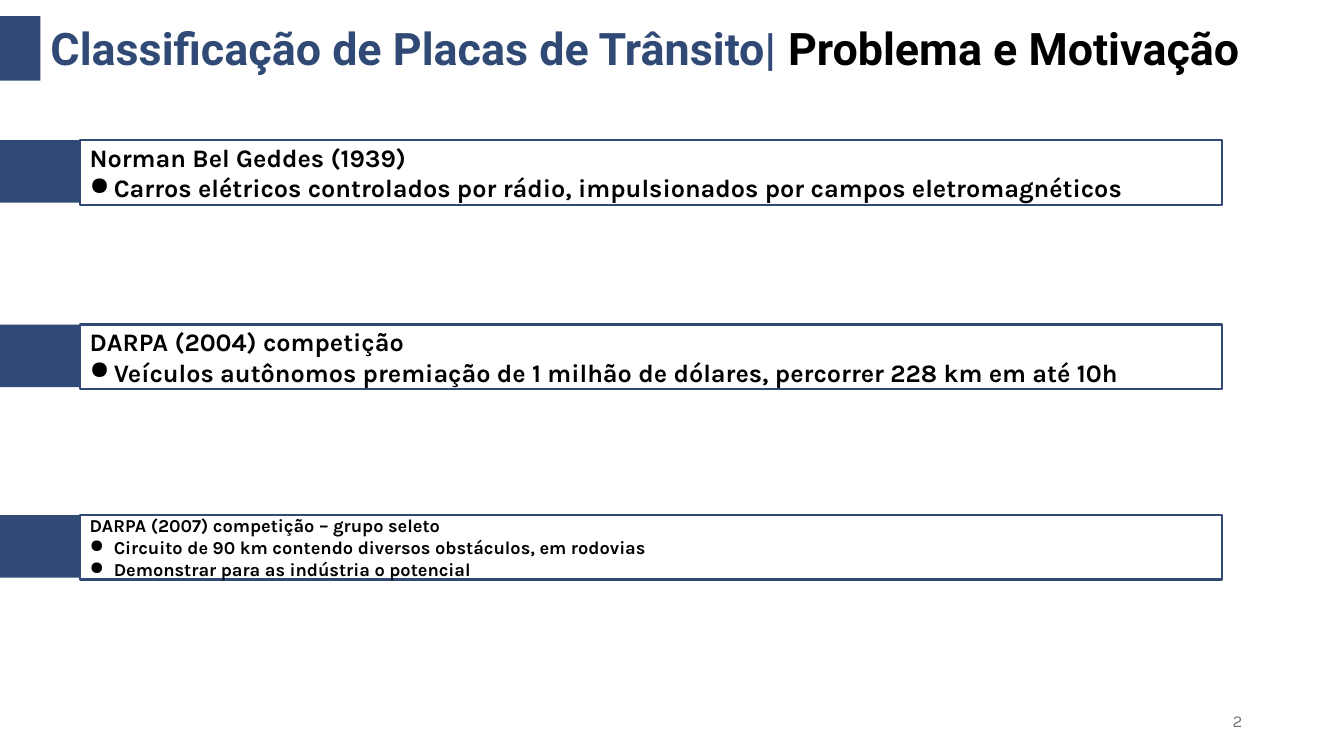
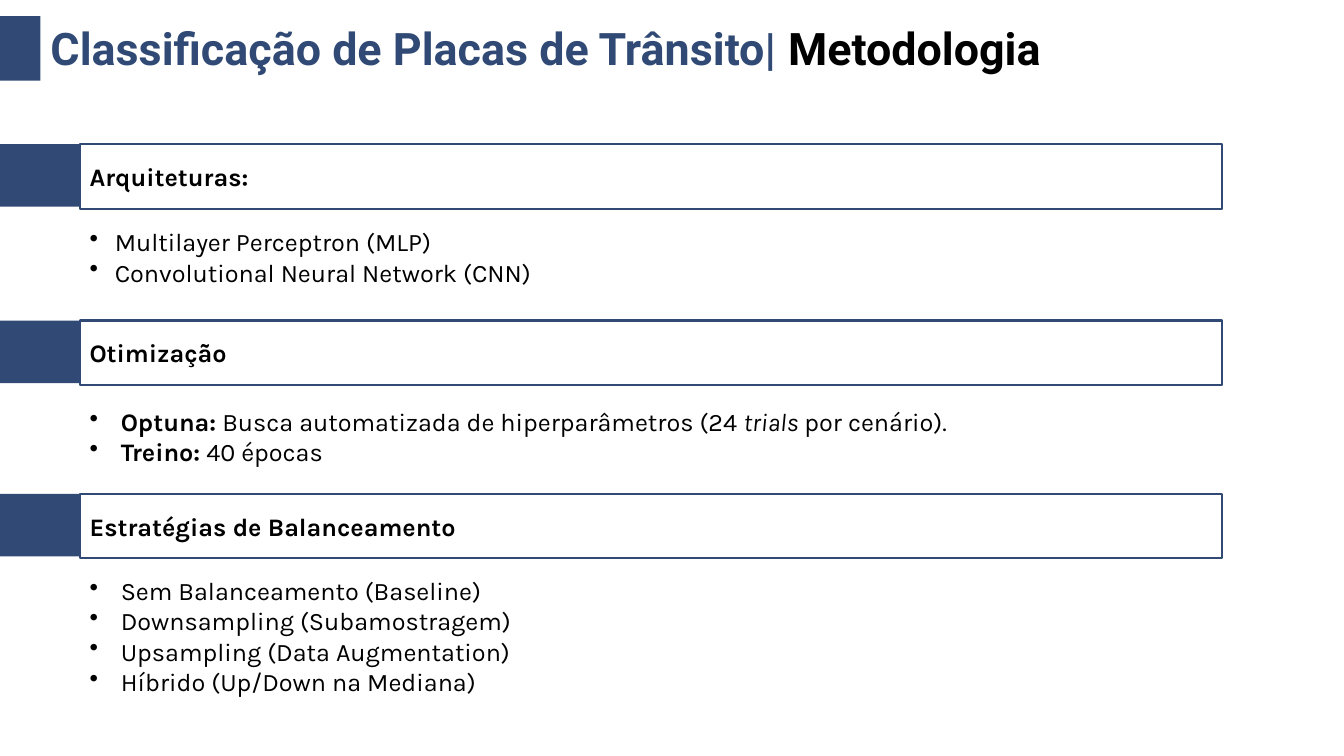
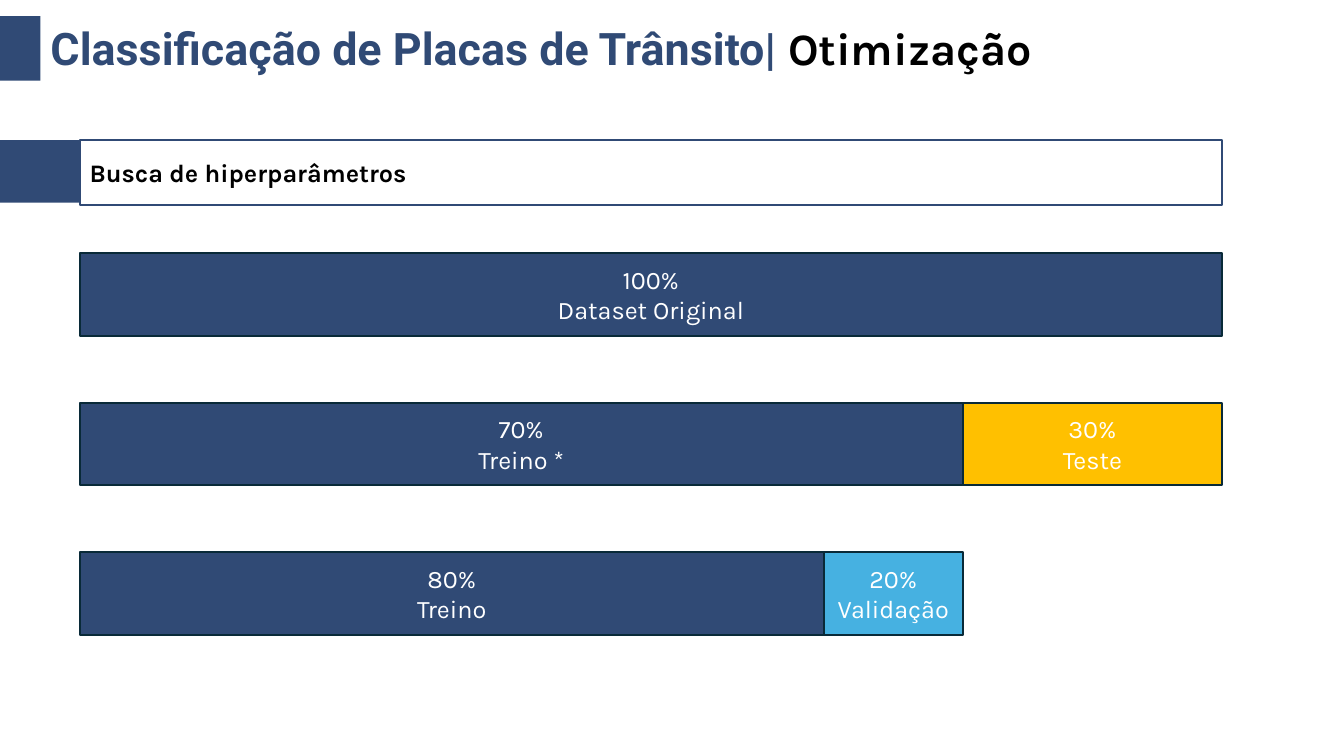
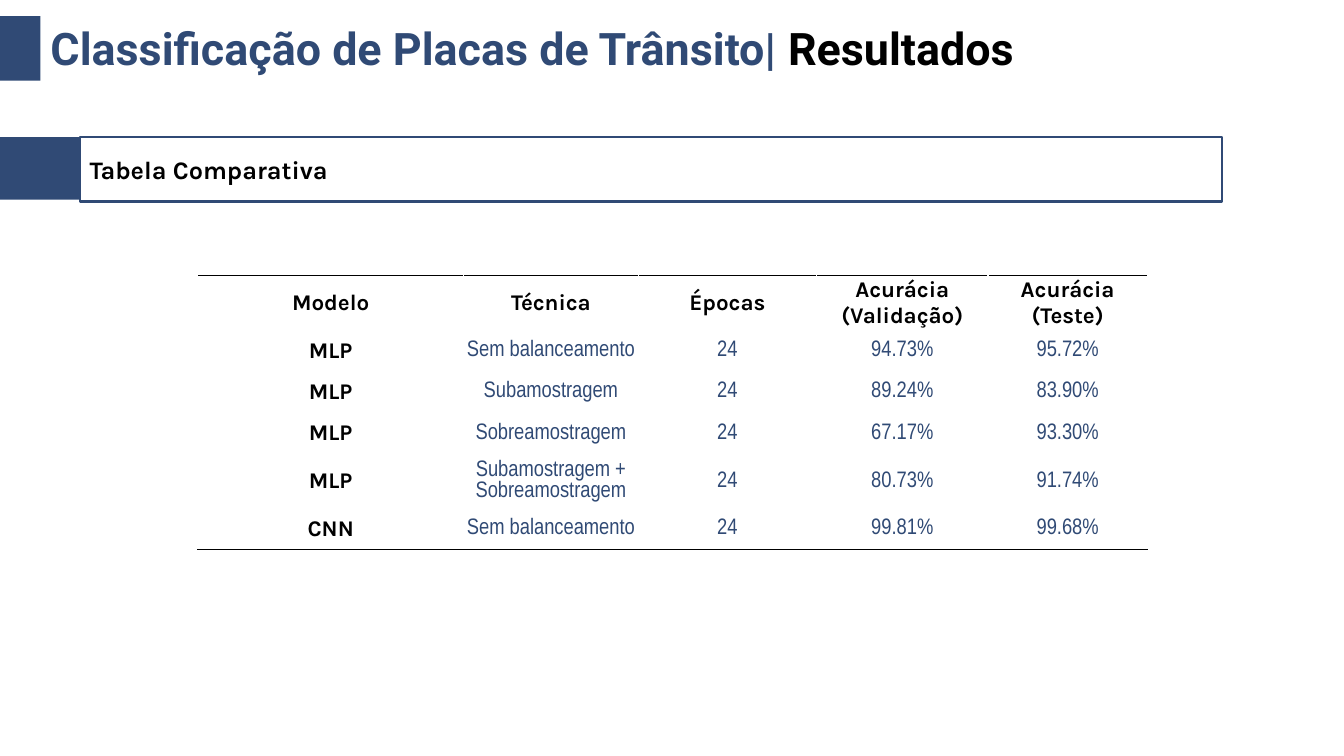
import pptx
import pptx.util
import pptx.dml.color
import pptx.enum.shapes
import pptx.enum.text
import pptx.oxml
import pptx.oxml.ns

Inches, Pt = pptx.util.Inches, pptx.util.Pt
ALIGN, ANCHOR = pptx.enum.text.PP_ALIGN, pptx.enum.text.MSO_ANCHOR
RECT = pptx.enum.shapes.MSO_SHAPE.RECTANGLE

# Shared style
COLORS = {"navy": "304A75", "black": "000000", "white": "FFFFFF", "gray": "797979",
          "amber": "FFC000", "sky": "46B1E1", "edge": "092A38"}
BODY = {"name": "Karla", "size": 18, "color": "black", "bold": False}
STRONG = {**BODY, "bold": True}
SMALL = {**STRONG, "size": 13}
LIGHT = {**BODY, "color": "white"}
HEADING = {"name": "Roboto", "size": 32, "color": "navy", "bold": True}
TABLE_HEAD = {**STRONG, "size": 16}
TABLE_BODY = {"name": "Arial Narrow", "size": 16, "color": "navy", "bold": False}
PAGE_NUMBER = {**BODY, "size": 12, "color": "gray"}

LEFT, WIDTH = 0.79, 11.33
BAND_H, TAB_W, TAB_H = 0.64, 0.8, 0.62
BAR_H = 0.82
SUBJECT = "Classificação de Placas de Trânsito| "

# Content: (top, format, heading, bullets)
HISTORY = [
    (1.39, STRONG, "Norman Bel Geddes (1939)",
     ["Carros elétricos controlados por rádio, impulsionados por campos eletromagnéticos"]),
    (3.22, STRONG, "DARPA (2004) competição",
     ["Veículos autônomos premiação de 1 milhão de dólares, percorrer 228 km em até 10h"]),
    (5.11, SMALL, "DARPA (2007) competição – grupo seleto",
     ["Circuito de 90 km contendo diversos obstáculos, em rodovias",
      "Demonstrar para as indústria o potencial"]),
]

# Content: (band top, heading, list top, indent, bullets)
METHOD = [
    (1.43, "Arquiteturas:", 2.2, 0.25,
     ["Multilayer Perceptron (MLP)", "Convolutional Neural Network (CNN)"]),
    (3.18, "Otimização", 3.98, 0.31,
     [[("Optuna:", {"bold": True}),
       (" Busca automatizada de hiperparâmetros (24 ", {}),
       ("trials", {"italic": True}),
       (" por cenário).", {})],
      [("Treino:", {"bold": True}), (" 40 épocas", {})]]),
    (4.9, "Estratégias de Balanceamento", 5.66, 0.31,
     ["Sem Balanceamento (Baseline)", "Downsampling (Subamostragem)",
      "Upsampling (Data Augmentation)", "Híbrido (Up/Down na Mediana)"]),
]

# Content: bars of (share, label, width, fill), one row per split
BAR_TOP, BAR_STEP = 2.51, 1.485
SPLITS = [
    [("100%", "Dataset Original", WIDTH, "navy")],
    [("70%", "Treino *", 8.76, "navy"), ("30%", "Teste", 2.57, "amber")],
    [("80%", "Treino", 7.38, "navy"), ("20%", "Validação", 1.38, "sky")],
]

RESULTS = [
    ("Modelo", "Técnica", "Épocas", "Acurácia\n(Validação)", "Acurácia\n(Teste)"),
    ("MLP", "Sem balanceamento", "24", "94.73%", "95.72%"),
    ("MLP", "Subamostragem", "24", "89.24%", "83.90%"),
    ("MLP", "Sobreamostragem", "24", "67.17%", "93.30%"),
    ("MLP", "Subamostragem + Sobreamostragem", "24", "80.73%", "91.74%"),
    ("CNN", "Sem balanceamento", "24", "99.81%", "99.68%"),
]
COL_WIDTHS = [2.64, 1.73, 1.77, 1.7, 1.58]
ROW_HEIGHTS = [0.54, 0.41, 0.41, 0.41, 0.54, 0.41]


def rgb(name):
    return pptx.dml.color.RGBColor.from_string(COLORS[name])


def format_font(font, fmt):
    for key, value in fmt.items():
        if key == "color":
            font.color.rgb = rgb(value)
        else:
            setattr(font, key, Pt(value) if key == "size" else value)


def add_bullet(p, char, indent):
    pPr = p._p.get_or_add_pPr()
    pPr.set("marL", str(Inches(indent)))
    pPr.set("indent", str(-Inches(indent)))
    ns = pptx.oxml.ns.nsdecls("a")
    for xml in (f'<a:buClr {ns}><a:srgbClr val="{COLORS["black"]}"/></a:buClr>',
                f'<a:buChar {ns} char="{char}"/>'):
        pPr.append(pptx.oxml.parse_xml(xml))


def write(tf, lines, fmt, align=ALIGN.LEFT, anchor=ANCHOR.TOP, bullet=None, first_bullet=0):
    """Each line is a string or a list of (text, overrides) runs."""
    tf.word_wrap = True
    tf.vertical_anchor = anchor
    for i, line in enumerate(lines):
        p = tf.paragraphs[0] if i == 0 else tf.add_paragraph()
        p.alignment = align
        if bullet and i >= first_bullet:
            add_bullet(p, *bullet)
        for text, extra in [(line, {})] if isinstance(line, str) else line:
            for n, part in enumerate(text.split("\n")):
                if n:
                    p.add_line_break()
                r = p.add_run()
                r.text = part
                format_font(r.font, {**fmt, **extra})


def add_rect(s, x, y, w, h, fill, line=None):
    sp = s.shapes.add_shape(RECT, Inches(x), Inches(y), Inches(w), Inches(h))
    sp.shadow.inherit = False
    sp.fill.solid()
    sp.fill.fore_color.rgb = rgb(fill)
    if line:
        sp.line.color.rgb = rgb(line)
        sp.line.width = Pt(1.5)
    else:
        sp.line.fill.background()
    return sp


def add_text(s, x, y, w, h, lines, fmt, **options):
    sp = s.shapes.add_textbox(Inches(x), Inches(y), Inches(w), Inches(h))
    write(sp.text_frame, lines, fmt, **options)


def add_band(s, top, lines, fmt=STRONG, **options):
    add_rect(s, 0, top, TAB_W, TAB_H, "navy")
    sp = add_rect(s, LEFT, top, WIDTH, BAND_H, "white", "navy")
    write(sp.text_frame, lines, fmt, anchor=ANCHOR.MIDDLE, **options)


def new_slide(prs, topic, topic_font="Roboto"):
    s = prs.slides.add_slide(prs.slide_layouts[5])
    title = s.shapes.title
    title.left, title.top, title.width, title.height = map(Inches, (0.4, 0.16, 12.72, 0.64))
    title.text_frame.auto_size = pptx.enum.text.MSO_AUTO_SIZE.NONE
    runs = [(SUBJECT, {}), (topic, {"name": topic_font, "color": "black"})]
    write(title.text_frame, [runs], HEADING)
    add_rect(s, 0, 0.16, 0.4, 0.64, "navy")
    return s


def add_border(cell, side):
    cell._tc.get_or_add_tcPr().insert(0, pptx.oxml.parse_xml(
        f'<a:{side} {pptx.oxml.ns.nsdecls("a")} w="{Pt(0.96)}"><a:solidFill>'
        f'<a:srgbClr val="{COLORS["black"]}"/></a:solidFill></a:{side}>'))


def add_results(s, x, y):
    table = s.shapes.add_table(len(RESULTS), len(COL_WIDTHS), Inches(x), Inches(y),
                               Inches(sum(COL_WIDTHS)), Inches(sum(ROW_HEIGHTS))).table
    table.first_row = table.horz_banding = False
    for col, w in zip(table.columns, COL_WIDTHS):
        col.width = Inches(w)
    for i, (values, h) in enumerate(zip(RESULTS, ROW_HEIGHTS)):
        table.rows[i].height = Inches(h)
        for j, value in enumerate(values):
            cell = table.cell(i, j)
            cell.margin_left = cell.margin_right = cell.margin_top = Inches(0.01)
            cell.margin_bottom = 0
            cell.vertical_anchor = ANCHOR.MIDDLE
            cell.fill.solid()
            cell.fill.fore_color.rgb = rgb("white")
            write(cell.text_frame, [value], TABLE_BODY if i and j else TABLE_HEAD,
                  align=ALIGN.CENTER)
            if i == 0:
                add_border(cell, "lnT")
            elif i == len(RESULTS) - 1:
                add_border(cell, "lnB")


def main():
    prs = pptx.Presentation()
    prs.slide_width, prs.slide_height = Inches(13.33), Inches(7.5)

    # Problem and motivation
    s = new_slide(prs, "Problema e Motivação")
    for top, fmt, heading, bullets in HISTORY:
        add_band(s, top, [heading, *bullets], fmt, bullet=("●", 0.24), first_bullet=1)
    add_text(s, 9.42, 6.95, 3, 0.4, ["2"], PAGE_NUMBER,
             align=ALIGN.RIGHT, anchor=ANCHOR.MIDDLE)

    # Methodology
    s = new_slide(prs, "Metodologia")
    for top, heading, list_top, indent, bullets in METHOD:
        add_band(s, top, [heading])
        add_text(s, LEFT, list_top, WIDTH, 0.1 + 0.3 * len(bullets), bullets, BODY,
                 bullet=("•", indent))

    # Data splits
    s = new_slide(prs, "Otimização", "Karla")
    add_band(s, 1.39, ["Busca de hiperparâmetros"])
    for i, bars in enumerate(SPLITS):
        x = LEFT
        for share, label, w, fill in bars:
            sp = add_rect(s, x, BAR_TOP + i * BAR_STEP, w, BAR_H, fill, "edge")
            write(sp.text_frame, [share, label], LIGHT,
                  align=ALIGN.CENTER, anchor=ANCHOR.MIDDLE)
            x += w

    # Results
    s = new_slide(prs, "Resultados")
    add_band(s, 1.36, ["Tabela Comparativa"])
    add_results(s, 1.96, 2.73)

    prs.save("out.pptx")


if __name__ == "__main__":
    main()
